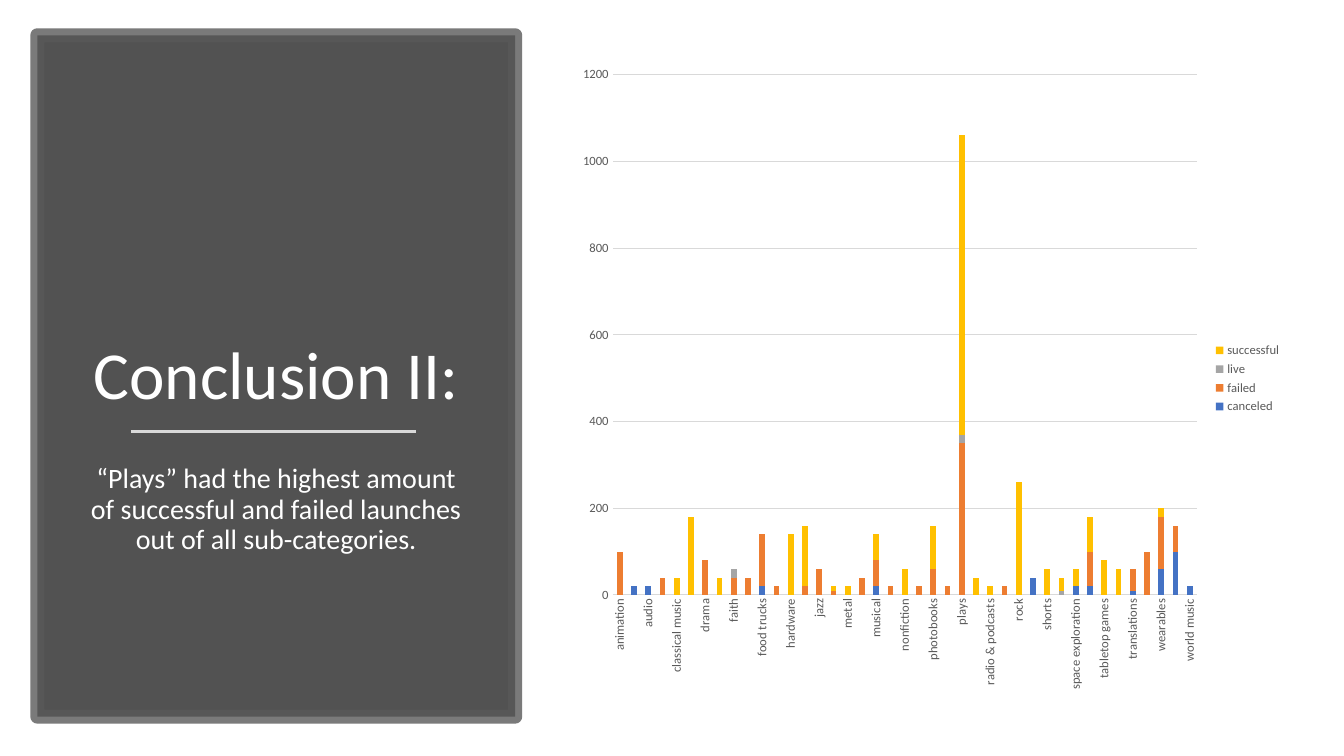
from lxml import etree
from pptx import Presentation
from pptx import util as u
from pptx.chart.data import CategoryChartData
from pptx.dml.color import RGBColor
from pptx.enum import chart as ch
from pptx.enum import shapes, text
from pptx.oxml.ns import qn

WHITE = RGBColor(0xFF, 0xFF, 0xFF)
PANEL = RGBColor(0x40, 0x40, 0x40)
LABEL = RGBColor(0x59, 0x59, 0x59)
RULE = RGBColor(0xD9, 0xD9, 0xD9)
BLUE = RGBColor(0x44, 0x72, 0xC4)
ORANGE = RGBColor(0xED, 0x7D, 0x31)
GRAY = RGBColor(0xA5, 0xA5, 0xA5)
GOLD = RGBColor(0xFF, 0xC0, 0x00)

SUBCATEGORIES = [
    "animation", "art books", "audio", "children's books", "classical music",
    "documentary", "drama", "electronic music", "faith", "fiction",
    "food trucks", "gadgets", "hardware", "indie rock", "jazz", "makerspaces",
    "metal", "mobile games", "musical", "nature", "nonfiction", "people",
    "photobooks", "places", "plays", "pop", "radio & podcasts", "restaurants",
    "rock", "science fiction", "shorts", "small batch", "space exploration",
    "spaces", "tabletop games", "television", "translations", "video games",
    "wearables", "web", "world music"]

OUTCOMES = {
    "canceled": (BLUE, {
        "art books": 20, "audio": 20, "food trucks": 20, "musical": 20,
        "science fiction": 40, "space exploration": 20, "spaces": 20,
        "translations": 10, "wearables": 60, "web": 100, "world music": 20}),
    "failed": (ORANGE, {
        "animation": 100, "children's books": 40, "drama": 80, "faith": 40,
        "fiction": 40, "food trucks": 120, "gadgets": 20, "indie rock": 20,
        "jazz": 60, "makerspaces": 10, "mobile games": 40, "musical": 60,
        "nature": 20, "people": 20, "photobooks": 60, "places": 20,
        "plays": 350, "restaurants": 20, "space exploration": 0, "spaces": 80,
        "translations": 50, "video games": 100, "wearables": 120, "web": 60}),
    "live": (GRAY, {"faith": 20, "plays": 20, "small batch": 10, "spaces": 0}),
    "successful": (GOLD, {
        "classical music": 40, "documentary": 180, "electronic music": 40,
        "hardware": 140, "indie rock": 140, "makerspaces": 10, "metal": 20,
        "musical": 60, "nonfiction": 60, "photobooks": 100, "plays": 690,
        "pop": 40, "radio & podcasts": 20, "rock": 260, "shorts": 60,
        "small batch": 30, "space exploration": 40, "spaces": 80,
        "tabletop games": 80, "television": 60, "wearables": 20})}


class SlideBuilder:
    font = "Calibri"

    def __init__(self, deck):
        self.width, self.height = deck.slide_width, deck.slide_height
        self.slide = deck.slides.add_slide(deck.slide_layouts[5])

    def area(self, left, top, width, height):
        return [round(share * side / 100) for share, side in
                zip((left, top, width, height), (self.width, self.height) * 2)]

    def set_font(self, font, size, color):
        font.name, font.size, font.color.rgb = self.font, u.Pt(size), color

    def set_line(self, line, color, points):
        line.color.rgb, line.width = color, u.Pt(points)

    def set_opacity(self, properties, percent):
        color = properties.find(qn("a:solidFill"))[0]
        etree.SubElement(color, qn("a:alpha"), val=str(percent * 1000))

    def panel(self, area, fill, fill_opacity, border, points, border_opacity):
        panel = self.slide.shapes.add_shape(
            shapes.MSO_SHAPE.RECTANGLE, *self.area(*area))
        panel.shadow.inherit = False
        panel.fill.solid()
        panel.fill.fore_color.rgb = fill
        self.set_line(panel.line, border, points)
        properties = panel._element.spPr
        self.set_opacity(properties, fill_opacity)
        self.set_opacity(properties.find(qn("a:ln")), border_opacity)

    def set_text(self, holder, area, words, size, color, anchor, before=0):
        holder.left, holder.top, holder.width, holder.height = self.area(*area)
        frame = holder.text_frame
        frame.word_wrap = True
        frame.auto_size = text.MSO_AUTO_SIZE.NONE
        frame.vertical_anchor = anchor
        paragraph = frame.paragraphs[0]
        paragraph.alignment = text.PP_ALIGN.CENTER
        paragraph.line_spacing = 0.9
        paragraph.space_before = u.Pt(before)
        run = paragraph.add_run()
        run.text = words
        self.set_font(run.font, size, color)

    def title(self, area, words, size, color):
        heading = self.slide.shapes.title
        self.slide.shapes._spTree.append(heading._element)
        self.set_text(heading, area, words, size, color, text.MSO_ANCHOR.BOTTOM)

    def body(self, area, words, size, color):
        box = self.slide.shapes.add_textbox(*self.area(*area))
        self.set_text(box, area, words, size, color, text.MSO_ANCHOR.TOP, 10)

    def divider(self, left, right, top, color, points):
        x, y, length, _ = self.area(left, top, right - left, 0)
        divider = self.slide.shapes.add_connector(
            shapes.MSO_CONNECTOR.STRAIGHT, x, y, x + length, y)
        self.set_line(divider.line, color, points)
        etree.SubElement(divider._element.spPr, qn("a:effectLst"))

    def stacked_columns(self, area, categories, series):
        data = CategoryChartData()
        data.categories = categories
        for name, (_, counts) in series.items():
            data.add_series(name, [counts.get(c) for c in categories])
        chart = self.slide.shapes.add_chart(
            ch.XL_CHART_TYPE.COLUMN_STACKED, *self.area(*area), data).chart
        self.set_font(chart.font, 9, LABEL)
        chart.has_title = False
        chart.has_legend = True
        chart.legend.position = ch.XL_LEGEND_POSITION.RIGHT
        chart.legend.include_in_layout = False
        self.set_font(chart.legend.font, 9, LABEL)
        plot = chart.plots[0]
        plot.gap_width, plot.overlap = 150, 100
        plot.vary_by_categories = False
        for column, (color, _) in zip(plot.series, series.values()):
            column.format.fill.solid()
            column.format.fill.fore_color.rgb = color
            column.invert_if_negative = False
        for axis in (chart.category_axis, chart.value_axis):
            axis.major_tick_mark = axis.minor_tick_mark = ch.XL_TICK_MARK.NONE
            self.set_font(axis.tick_labels.font, 9, LABEL)
        self.set_line(chart.category_axis.format.line, RULE, 0.75)
        label_body = chart.category_axis._element.find(qn("c:txPr"))[0]
        label_body.set("rot", "-5400000")
        label_body.set("vert", "horz")
        chart.value_axis.format.line.fill.background()
        chart.value_axis.has_major_gridlines = True
        self.set_line(chart.value_axis.major_gridlines.format.line, RULE, 0.75)


deck = Presentation()
deck.slide_width, deck.slide_height = u.Inches(13.33), u.Inches(7.5)
conclusion = SlideBuilder(deck)
conclusion.panel((2.78, 4.67, 35.56, 90.13), PANEL, 90, LABEL, 10, 80)
conclusion.title((5.55, 13.33, 30, 42.13), "Conclusion II:", 48, WHITE)
conclusion.body(
    (5.55, 60.8, 30, 22.27),
    "“Plays” had the highest amount of successful and failed launches "
    "out of all sub-categories.", 20, WHITE)
conclusion.divider(9.75, 30.98, 57.07, RULE, 1.75)
conclusion.stacked_columns((42.31, 7.2, 53.79, 85.73), SUBCATEGORIES, OUTCOMES)
deck.save("out.pptx")
